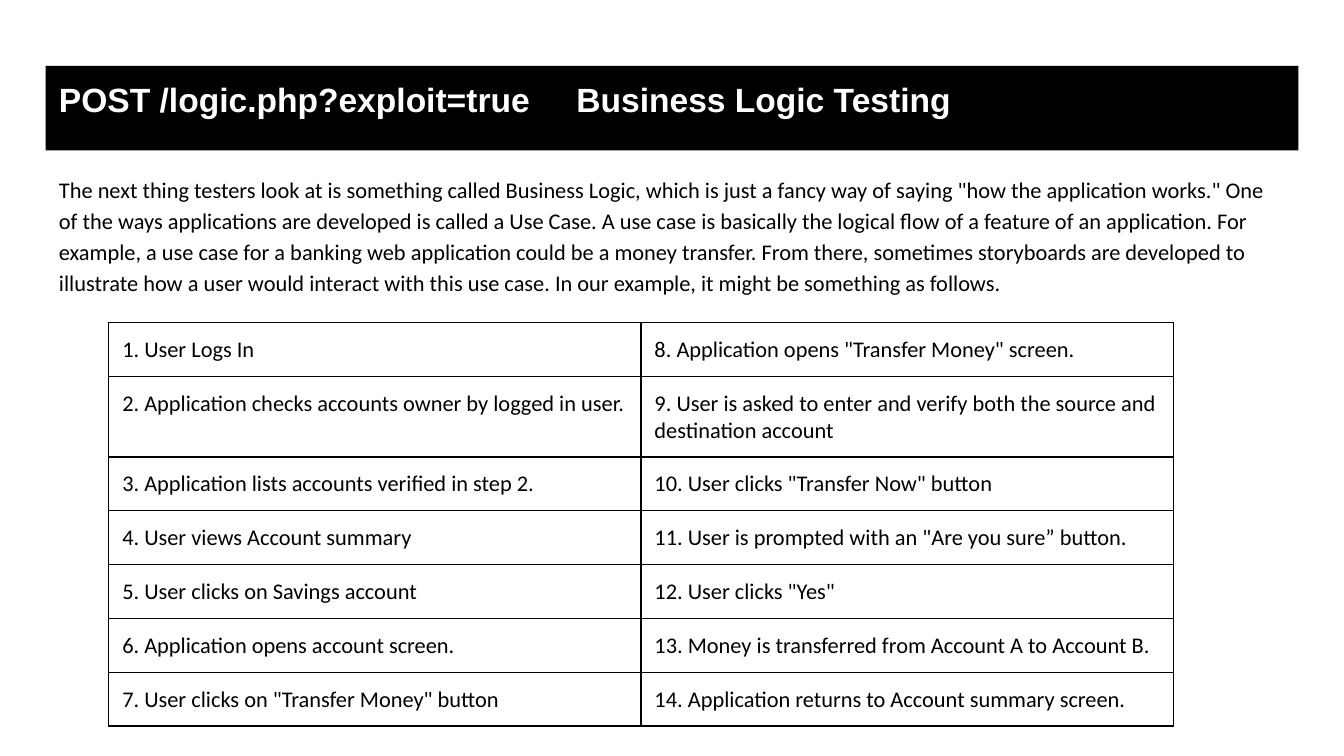
from lxml.etree import SubElement as Sub
from pptx import Presentation
from pptx.dml.color import RGBColor as Rgb
from pptx.enum.shapes import MSO_SHAPE as Shape
from pptx.enum.text import MSO_ANCHOR as Anchor, PP_ALIGN as Align
from pptx.oxml.ns import qn
from pptx.util import Inches, Pt

HUES = {"ink": "000000", "paper": "FFFFFF"}
PAD = 0.1
TITLE = "POST /logic.php?exploit=true\tBusiness Logic Testing"
INTRO = (
    'The next thing testers look at is something called Business Logic, which is '
    'just a fancy way of saying "how the application works." One of the ways '
    'applications are developed is called a Use Case. A use case is basically the '
    'logical flow of a feature of an application. For example, a use case for a '
    'banking web application could be a money transfer. From there, sometimes '
    'storyboards are developed to illustrate how a user would interact with this '
    'use case. In our example, it might be something as follows.'
)
STEPS = [
    "User Logs In",
    "Application checks accounts owner by logged in user.",
    "Application lists accounts verified in step 2.",
    "User views Account summary",
    "User clicks on Savings account",
    "Application opens account screen.",
    'User clicks on "Transfer Money" button',
    'Application opens "Transfer Money" screen.',
    "User is asked to enter and verify both the source and destination account",
    'User clicks "Transfer Now" button',
    'User is prompted with an "Are you sure” button.',
    'User clicks "Yes"',
    "Money is transferred from Account A to Account B.",
    "Application returns to Account summary screen.",
]
ROWS = [0.37, 0.56, 0.37, 0.4, 0.37, 0.37, 0.37]


def hue(name):
    return Rgb.from_string(HUES[name])


def pad(box):
    box.margin_left = box.margin_right = Inches(PAD)
    box.margin_top = box.margin_bottom = Inches(PAD)
    box.vertical_anchor = Anchor.TOP


def write(frame, text, face, size, color, bold=False, tab=None):
    para = frame.paragraphs[0]
    para.text = text
    para.alignment = Align.LEFT
    if tab:
        stops = Sub(para._p.get_or_add_pPr(), qn("a:tabLst"))
        Sub(stops, qn("a:tab"), pos=str(Inches(tab)), algn="l")
    font = para.font
    font.name, font.size, font.bold = face, Pt(size), bold
    font.color.rgb = hue(color)
    return para


def add_title(slide, x, y, w, h):
    bar = slide.shapes.add_shape(Shape.RECTANGLE, Inches(x), Inches(y), Inches(w), Inches(h))
    bar.shadow.inherit = False
    bar.fill.solid()
    bar.fill.fore_color.rgb = hue("ink")
    bar.line.fill.background()
    frame = bar.text_frame
    frame.word_wrap = True
    pad(frame)
    write(frame, TITLE, "Arial", 18, "paper", bold=True, tab=3.85)


def add_intro(slide, x, y, w, h):
    frame = slide.shapes.add_textbox(Inches(x), Inches(y), Inches(w), Inches(h)).text_frame
    frame.word_wrap = True
    pad(frame)
    write(frame, INTRO, "Calibri", 12, "ink").line_spacing = 1.15


def rule_cell(cell):
    props = cell._tc.get_or_add_tcPr()
    for side in ("lnL", "lnR", "lnT", "lnB"):
        line = Sub(props, qn(f"a:{side}"), w=str(Pt(0.75)))
        fill = Sub(line, qn("a:solidFill"))
        Sub(fill, qn("a:srgbClr"), val=HUES["ink"])


def add_steps(slide, x, y, w):
    count = len(ROWS)
    size = Inches(w), Inches(sum(ROWS))
    table = slide.shapes.add_table(count, 2, Inches(x), Inches(y), *size).table
    table.first_row = table.horz_banding = False
    for row, tall in zip(table.rows, ROWS):
        row.height = Inches(tall)
    for i, step in enumerate(STEPS):
        col, line = divmod(i, count)
        cell = table.cell(line, col)
        pad(cell)
        rule_cell(cell)
        cell.fill.background()
        write(cell.text_frame, f"{i + 1}. {step}", "Calibri", 12, "ink")


def main():
    deck = Presentation()
    deck.slide_width = Inches(10)
    deck.slide_height = deck.slide_width * 9 // 16
    slide = deck.slides.add_slide(deck.slide_layouts[6])
    add_title(slide, 0.34, 0.49, 9.32, 0.63)
    add_intro(slide, 0.34, 1.18, 9.32, 1.56)
    add_steps(slide, 0.81, 2.4, 7.92)
    deck.save("out.pptx")


if __name__ == "__main__":
    main()
